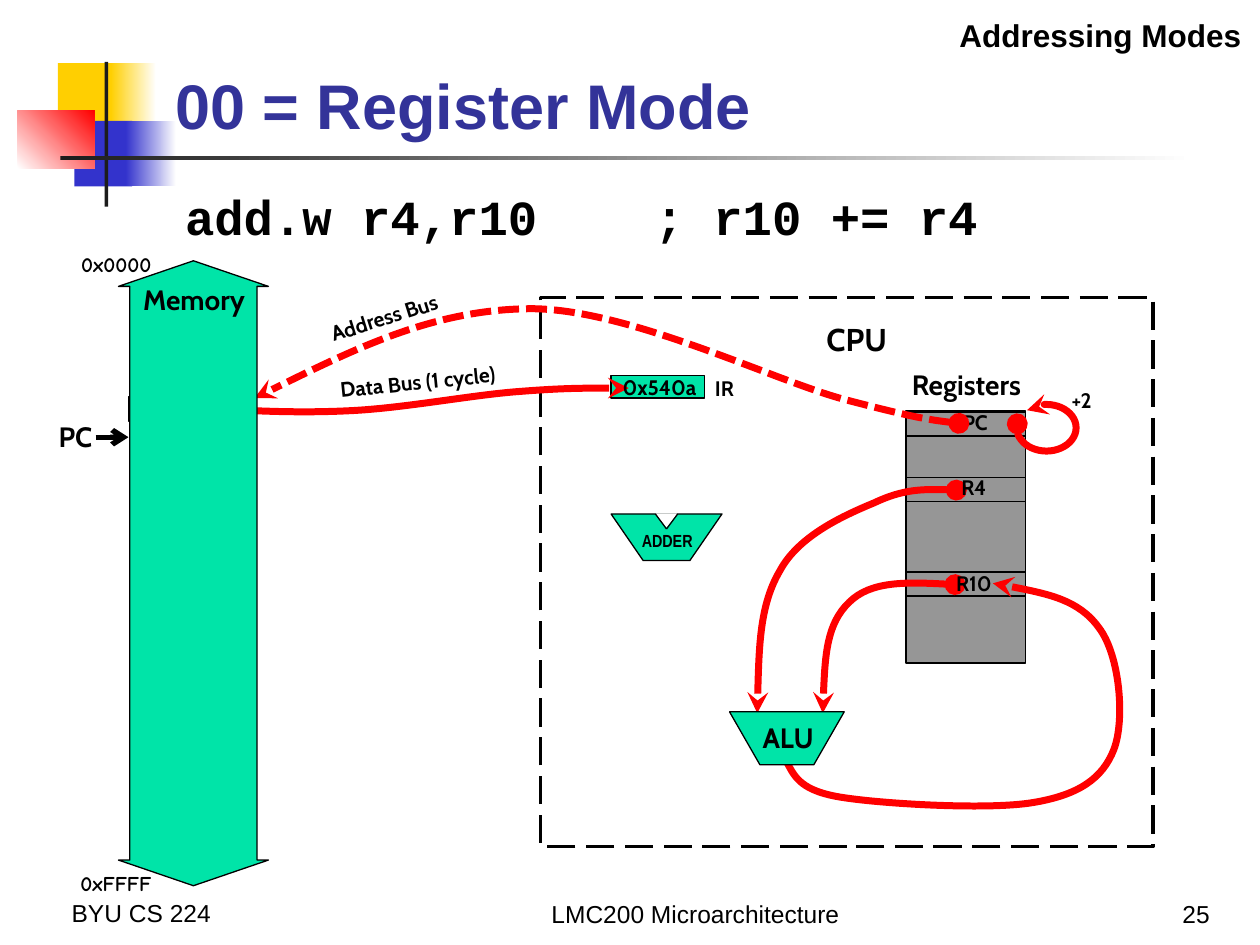
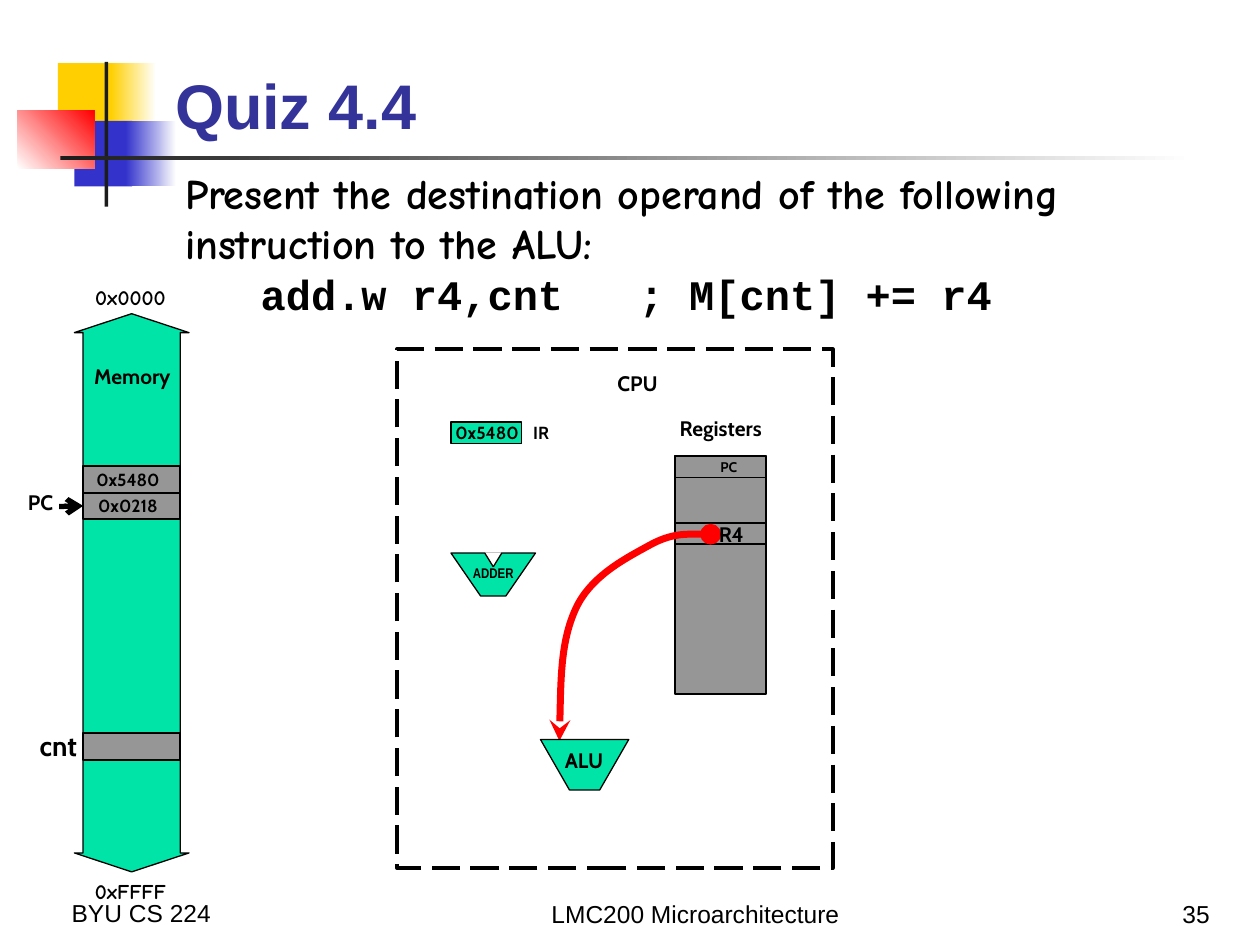
from lxml import etree
from pptx import Presentation
from pptx.dml.color import RGBColor
from pptx.enum.dml import MSO_LINE
from pptx.enum.shapes import MSO_CONNECTOR, MSO_SHAPE
from pptx.enum.text import MSO_ANCHOR, MSO_AUTO_SIZE, PP_ALIGN
from pptx.oxml.ns import qn
from pptx.util import Emu, Inches, Pt

LEFT, CENTER, RIGHT = PP_ALIGN.LEFT, PP_ALIGN.CENTER, PP_ALIGN.RIGHT
TOP, BOTTOM = MSO_ANCHOR.TOP, MSO_ANCHOR.BOTTOM
RECTANGLE, TRAPEZOID = MSO_SHAPE.RECTANGLE, MSO_SHAPE.TRAPEZOID
TRIANGLE, ARC = MSO_SHAPE.ISOSCELES_TRIANGLE, MSO_SHAPE.ARC
UP_DOWN_ARROW, STRAIGHT = MSO_SHAPE.UP_DOWN_ARROW, MSO_CONNECTOR.STRAIGHT
LONG_DASH, SHORT_DASH = MSO_LINE.LONG_DASH, MSO_LINE.SQUARE_DOT
LEFT_SIDE = 1

COLORS = {
    "ink": "000000", "paper": "FFFFFF", "title": "333399", "part": "00E4A8",
    "register": "969696", "signal": "FF0000", "yellow": "FFCF01",
    "blue": "3333CC", "rule": "1C1C1C",
}

STYLES = {
    "name": ("Cabin", True, CENTER, 0.1),
    "pointer": ("Cabin", True, RIGHT, 0.1),
    "value": ("Cabin", True, CENTER, 0),
    "adder": ("Arial Narrow", True, CENTER, 0),
    "address right": ("Comic Neue", True, RIGHT, 0.1),
    "address": ("Comic Neue", True, CENTER, 0.1),
    "question": ("Comic Neue", True, LEFT, 0.1),
    "code": ("Courier New", True, LEFT, 0.1),
    "title": ("Arial", True, LEFT, 0.1),
    "section": ("Arial", True, RIGHT, 0.1),
    "footer": ("Arial", False, LEFT, 0.1),
    "footer center": ("Arial", False, CENTER, 0.1),
    "footer right": ("Arial", False, RIGHT, 0.1),
}

DECORATION = [
    ((0.46, 0.5, 0.48, 0.52), ["yellow"], 0),
    ((0.88, 0.5, 0.36, 0.52), ["yellow", "paper"], 0),
    ((0.59, 0.96, 0.46, 0.52), ["blue"], 0),
    ((1, 0.96, 0.4, 0.52), ["blue", "paper"], 0),
    ((0.14, 0.88, 0.61, 0.46), ["paper", "signal"], 45),
    ((0.83, 0.49, 0.03, 1.15), ["rule"], 0),
    ((0.48, 1.24, 9, 0.03), ["rule", "paper"], 0),
]
TITLE_BOX = (1.29, 0.23, 8.52, 0.95)
FOOTERS = [
    ("BYU CS 224", (0.47, 6.72, 2.08, 0.69), "footer"),
    ("LMC200 Microarchitecture", (2.87, 6.9, 5.3, 0.52), "footer center"),
]
NUMBER_BOX = (8.86, 6.9, 0.84, 0.52)

REGISTER_MODE = {
    "title": "00 = Register Mode",
    "number": "25",
    "statement": ((1.37, 1.43, 8.45, 0.57),
                  [("add.w r4,r10    ; r10 += r4", "code", 28)]),
    "cpu": (4.29, 2.36, 4.86, 4.36),
    "cells": [(1.02, 3.15, 1.01, 0.19), (7.19, 3.26, 0.95, 2)]
             + [(7.19, top, 0.95, 0.19) for top in (3.27, 3.79, 4.54)],
    "instruction": (4.85, 2.98, 0.74, 0.18),
    "adder": ((4.85, 4.08, 0.88, 0.37), (5.09, 4.21, 0.41, 0.17), 10),
    "alu": (5.79, 5.65, 0.91, 0.42),
    "memory": ((0.94, 2.07, 1.19, 4.96), 0.171),
    "memory_cells": [],
    "pc_arrow": (0.76, 1.02, 3.47),
    "labels_below": [("PC", (7.46, 3.2, 0.56, 0.3), 12, "name")],
    "wires": [
        ([(7.58, 4.64), (7.24, 4.62), (6.91, 4.61), (6.74, 4.78),
          (6.56, 4.95), (6.54, 5.3), (6.53, 5.66)], "oval", None),
        ([(6.25, 6.06), (6.31, 6.17), (6.36, 6.28), (6.69, 6.33),
          (7.01, 6.38), (7.84, 6.43), (8.2, 6.37),
          (8.56, 6.31), (8.75, 6.18), (8.84, 5.95),
          (8.93, 5.72), (8.89, 5.2), (8.72, 4.98),
          (8.56, 4.76), (8.22, 4.69), (7.88, 4.63)], None, None),
        ([(7.59, 3.89), (7.38, 3.88), (7.17, 3.88), (6.94, 3.99),
          (6.7, 4.09), (6.34, 4.25), (6.19, 4.53),
          (6.03, 4.8), (6.02, 5.23), (6.01, 5.66)], "oval", None),
        ([(1.6, 3.24), (1.99, 3.26), (2.37, 3.28), (2.78, 3.26),
          (3.2, 3.24), (3.72, 3.14), (4.09, 3.11),
          (4.46, 3.08), (4.72, 3.08), (4.99, 3.08)], "oval", None),
        ([(7.61, 3.36), (7.44, 3.34), (7.27, 3.32), (6.7, 3.17),
          (6.14, 3.02), (5.01, 2.46), (4.23, 2.45),
          (3.45, 2.45), (2.73, 2.81), (2.02, 3.16)], "oval", SHORT_DASH),
    ],
    "increment_loop": (8.07, 3.21, 0.47, 0.37),
    "labels": [
        ("Addressing Modes", (5.93, 0.08, 4.02, 0.4), 18, "section"),
        ("Registers", (7, 2.87, 1.34, 0.37), 16, "name"),
        ("CPU", (6.13, 2.49, 1.34, 0.4), 18, "name"),
        ("PC", (0.32, 3.28, 0.51, 0.37), 16, "pointer"),
        ("R10", (7.45, 4.48, 0.56, 0.3), 12, "name"),
        ("R4", (7.45, 3.72, 0.56, 0.3), 12, "name"),
        ("IR", (5.47, 2.93, 0.56, 0.3), 12, "name"),
        ("Data Bus (1 cycle)", (2.37, 2.88, 1.89, 0.3), 12, "name", 354.2),
        ("0x540a", (4.92, 2.97, 0.63, 0.2), 12, "value"),
        ("ALU", (5.92, 5.67, 0.67, 0.37), 16, "name"),
        ("Address Bus", (2.33, 2.37, 1.44, 0.3), 12, "name", 342.6),
        ("+2", (8.34, 3.03, 0.49, 0.3), 12, "name"),
        ("Memory", (0.87, 2.19, 1.34, 0.37), 16, "name"),
        ("0x0000", (0.25, 1.95, 1.05, 0.3), 12, "address right"),
        ("0xFFFF", (0.25, 6.86, 1.05, 0.3), 12, "address right"),
    ],
}

QUIZ = {
    "title": "Quiz 4.4",
    "number": "35",
    "statement": ((1.37, 1.28, 8.18, 1.31), [
        ("Present the destination operand of the following instruction to the ALU:",
         "question", 24),
        ("   add.w r4,cnt   ; M[cnt] += r4", "code", 24),
    ]),
    "cpu": (3.15, 2.77, 3.46, 4.12),
    "cells": [(5.36, 3.62, 0.72, 1.89)]
             + [(5.36, top, 0.72, 0.17) for top in (3.62, 4.15)],
    "instruction": (3.58, 3.35, 0.56, 0.17),
    "adder": ((3.58, 4.39, 0.67, 0.34), (3.72, 4.48, 0.39, 0.13), 8),
    "alu": (4.29, 5.87, 0.7, 0.4),
    "memory": ((0.59, 2.49, 0.91, 4.43), 0.165),
    "memory_cells": [(0.66, top, 0.77, 0.21) for top in (5.82, 3.7, 3.91)],
    "pc_arrow": (0.47, 0.66, 4.02),
    "labels_below": [("PC", (5.57, 3.59, 0.43, 0.27), 8, "name")],
    "wires": [
        ([(5.64, 4.24), (5.49, 4.24), (5.33, 4.23), (5.15, 4.33),
          (4.97, 4.43), (4.69, 4.57), (4.57, 4.83),
          (4.45, 5.09), (4.45, 5.48), (4.44, 5.88)], "oval", None),
    ],
    "increment_loop": None,
    "labels": [
        ("PC", (0.04, 3.84, 0.48, 0.3), 12, "pointer"),
        ("cnt", (0.05, 5.73, 0.66, 0.37), 16, "pointer"),
        ("Memory", (0.54, 2.84, 1.02, 0.3), 12, "name"),
        ("Registers", (5.21, 3.25, 1.02, 0.3), 12, "name"),
        ("CPU", (4.55, 2.89, 1.02, 0.3), 12, "name"),
        ("IR", (4.08, 3.3, 0.43, 0.27), 10, "name"),
        ("ALU", (4.33, 5.88, 0.61, 0.3), 12, "name"),
        ("0x5480", (3.59, 3.35, 0.55, 0.17), 10, "value"),
        ("R4", (5.53, 4.09, 0.55, 0.3), 12, "name"),
        ("0x0218", (0.73, 3.93, 0.57, 0.17), 10, "value"),
        ("0x5480", (0.74, 3.72, 0.55, 0.17), 10, "value"),
        ("0x0000", (0.51, 2.21, 1.05, 0.3), 12, "address"),
        ("0xFFFF", (0.51, 6.92, 1.05, 0.3), 12, "address"),
    ],
}


def rgb(name):
    return RGBColor.from_string(COLORS[name])


def inches(box):
    return [Inches(length) for length in box]


def write(text_frame, lines, anchor=TOP, color="ink"):
    text_frame.word_wrap = True
    text_frame.auto_size = MSO_AUTO_SIZE.NONE
    text_frame.vertical_anchor = anchor
    text_frame.text = "\n".join(text for text, _, _ in lines)
    for paragraph, (_, style, size) in zip(text_frame.paragraphs, lines):
        font_name, bold, paragraph.alignment, inset = STYLES[style]
        for run in paragraph.runs:
            run.font.name, run.font.size, run.font.bold = font_name, Pt(size), bold
            run.font.color.rgb = rgb(color)
    if inset == 0:
        text_frame.margin_left = text_frame.margin_right = 0
        text_frame.margin_top = text_frame.margin_bottom = 0


def add_label(slide, text, box, size, style, rotation=0, anchor=TOP):
    label = slide.shapes.add_textbox(*inches(box))
    label.rotation = rotation
    write(label.text_frame, [(text, style, size)], anchor)


def format_line(shape, color, width, dash=None, head=None, tail=None):
    shape.line.color.rgb = rgb(color)
    shape.line.width = Pt(width)
    if dash:
        shape.line.dash_style = dash
    outline = shape.element.xpath("./p:spPr/a:ln")[0]
    for tag, kind in (("a:headEnd", head), ("a:tailEnd", tail)):
        if kind:
            etree.SubElement(outline, qn(tag), type=kind)


def add_part(slide, kind, box, fill=None, line="ink", width=0.75, adjustments=(), flip=False):
    shape = slide.shapes.add_shape(kind, *inches(box))
    shape.shadow.inherit = False
    if fill:
        shape.fill.solid()
        shape.fill.fore_color.rgb = rgb(fill)
    else:
        shape.fill.background()
    if line:
        format_line(shape, line, width)
    else:
        shape.line.fill.background()
    for index, value in enumerate(adjustments):
        shape.adjustments[index] = value
    if flip:
        shape.element.xpath(".//a:xfrm")[0].set("flipV", "1")
    return shape


def add_line(slide, start, end, width, tail=None):
    connector = slide.shapes.add_connector(STRAIGHT, *inches(start + end))
    format_line(connector, "ink", width, tail=tail)
    etree.SubElement(connector.element.spPr, qn("a:effectLst"))
    return connector


def add_wire(slide, points, head, dash):
    start, *rest = [tuple(inches(point)) for point in points]
    builder = slide.shapes.build_freeform(*start, scale=1.0)
    builder.add_line_segments(rest, close=False)
    wire = builder.convert_to_shape(Emu(0), Emu(0))
    outline = wire.element.xpath(".//a:path")[0]
    segments = outline.findall(qn("a:lnTo"))
    for index in range(0, len(segments), 3):
        curve = etree.SubElement(outline, qn("a:cubicBezTo"))
        for segment in segments[index:index + 3]:
            curve.append(segment[0])
            outline.remove(segment)
    wire.shadow.inherit = False
    wire.fill.background()
    format_line(wire, "signal", 4, dash, head, "stealth")


def add_adder(slide, box, label_box, size):
    left, top, width, height = box
    add_part(slide, TRAPEZOID, box, "part", adjustments=[0.689], flip=True)
    notch = (left + 0.41 * width, top, 0.18 * width, 0.27 * height)
    add_part(slide, TRIANGLE, notch, "paper", "paper", flip=True)
    for share in (0.4, 0.6):
        add_line(slide, (left + share * width, top),
                 (left + 0.5 * width, top + 0.32 * height), 0.75)
    add_label(slide, "ADDER", label_box, size, "adder")


def add_memory(slide, box, head_share):
    memory = add_part(slide, UP_DOWN_ARROW, box, "part", adjustments=[0.848, head_share])
    for number, guide in enumerate(memory.element.xpath(".//a:gd"), 1):
        guide.set("name", f"adj{number}")


def decorate(layout, slide):
    for box, colors, angle in DECORATION:
        shape = add_part(slide, RECTANGLE, box, colors[0], None)
        if len(colors) == 2:
            shape.fill.gradient()
            shape.fill.gradient_angle = angle
            for stop, color, position in zip(shape.fill.gradient_stops, colors, (0, 1)):
                stop.color.rgb = rgb(color)
                stop.position = position
        layout.shapes.element.append(shape.element)


def build_slide(slide, content):
    title = slide.shapes.title
    title.left, title.top, title.width, title.height = inches(TITLE_BOX)
    write(title.text_frame, [(content["title"], "title", 36)], BOTTOM, "title")
    for text, box, style in FOOTERS + [(content["number"], NUMBER_BOX, "footer right")]:
        add_label(slide, text, box, 14, style, anchor=BOTTOM)
    statement_box, lines = content["statement"]
    write(slide.shapes.add_textbox(*inches(statement_box)).text_frame, lines)

    for box in content["cells"]:
        add_part(slide, RECTANGLE, box, "register", width=1)
    frame = add_part(slide, RECTANGLE, content["cpu"], width=2)
    frame.line.dash_style = LONG_DASH
    add_adder(slide, *content["adder"])
    add_part(slide, RECTANGLE, content["instruction"], "part")
    for label in content["labels_below"]:
        add_label(slide, *label)
    for wire in content["wires"]:
        add_wire(slide, *wire)
    if content["increment_loop"]:
        loop = add_part(slide, ARC, content["increment_loop"],
                        line=None, adjustments=[25.234, 4.593])
        loop.rotation = 180
        format_line(loop, "signal", 4, head="stealth", tail="oval")
    add_part(slide, TRAPEZOID, content["alu"], "part", adjustments=[0.574], flip=True)
    add_memory(slide, *content["memory"])
    memory_cells = [add_part(slide, RECTANGLE, box, "register", width=1)
                    for box in content["memory_cells"]]
    start, end, height = content["pc_arrow"]
    pointer = add_line(slide, (start, height), (end, height), 3, "arrow")
    if memory_cells:
        pointer.end_connect(memory_cells[-1], LEFT_SIDE)
    for label in content["labels"]:
        add_label(slide, *label)


def main():
    presentation = Presentation()
    presentation.slide_width, presentation.slide_height = Inches(10), Inches(7.5)
    layout = presentation.slide_layouts.get_by_name("Title Only")
    slides = [presentation.slides.add_slide(layout) for _ in range(2)]
    decorate(layout, slides[0])
    for slide, content in zip(slides, (REGISTER_MODE, QUIZ)):
        build_slide(slide, content)
    presentation.save("out.pptx")


if __name__ == "__main__":
    main()
